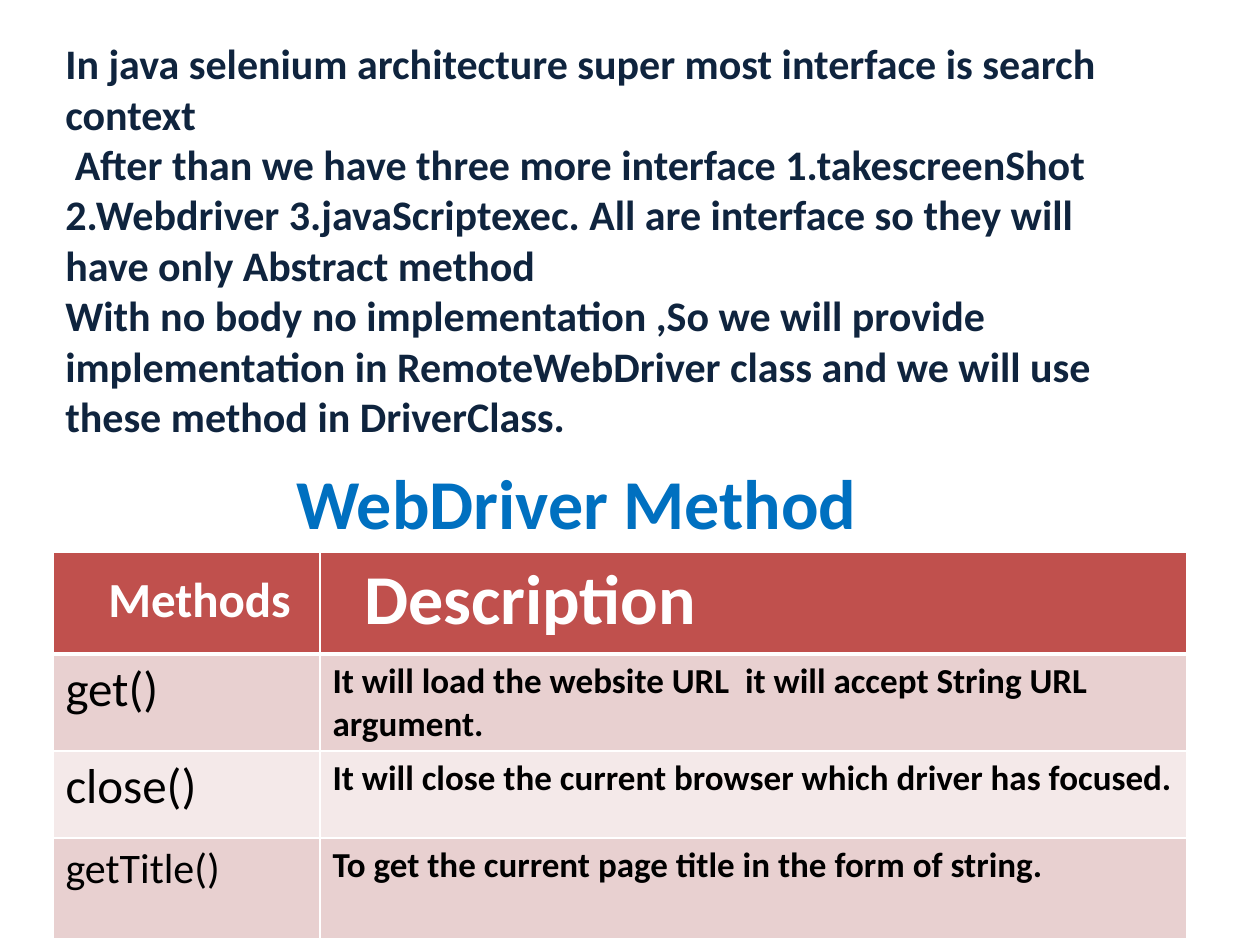
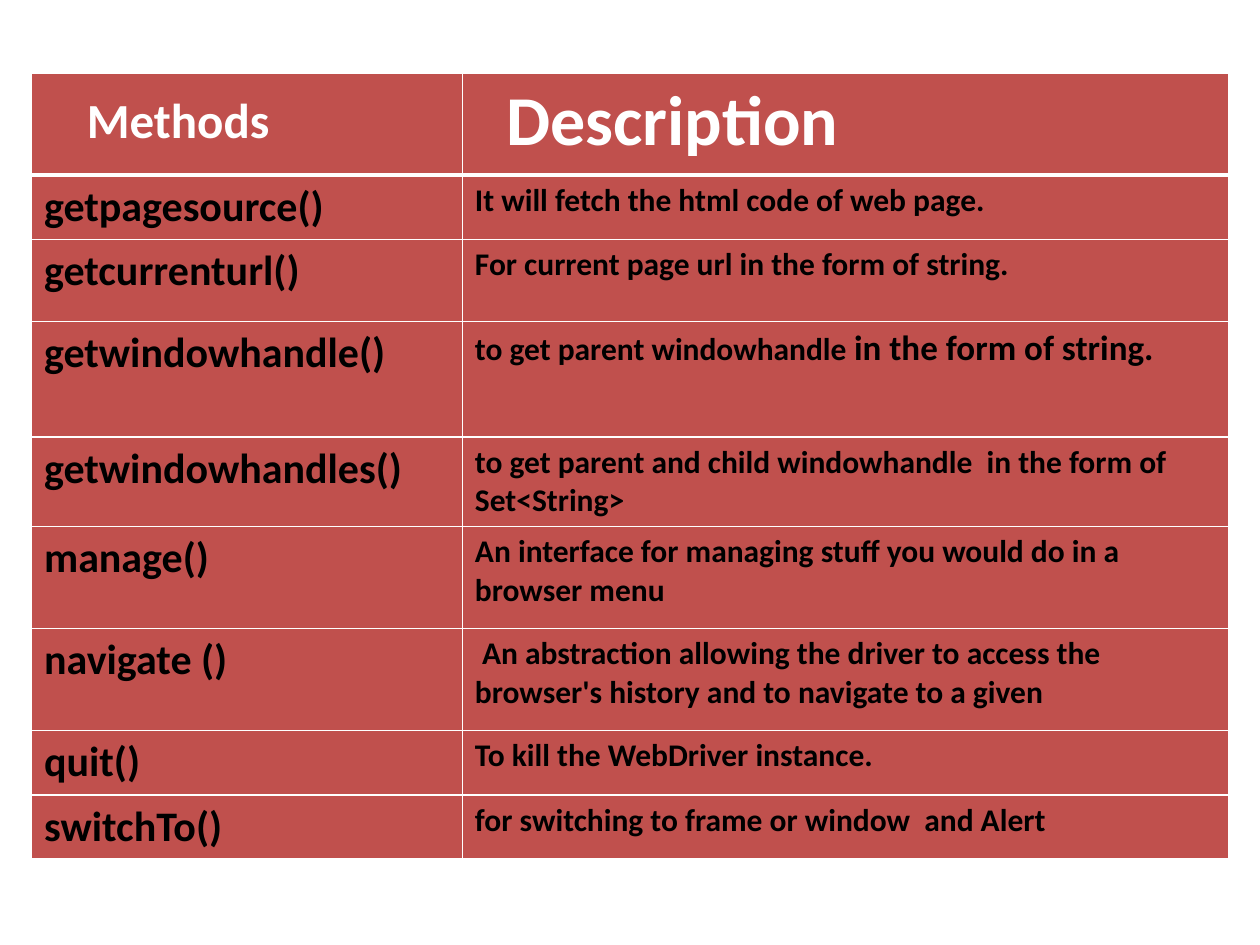
import pptx
import pptx.dml.color
import pptx.enum.text
import pptx.oxml.ns
import pptx.util
from lxml import etree

Inches = pptx.util.Inches
FONT = "Calibri"
COLORS = {
    "navy": "0F243E",
    "blue": "0070C0",
    "red": "C0504D",
    "band_dark": "E8D0D0",
    "band_light": "F4E9E9",
    "white": "FFFFFF",
    "black": "000000",
}
TITLE_ONLY, BLANK = 5, 6

INTRO = [
    "In java selenium architecture super most interface is search context",
    " After than we have three more interface 1.takescreenShot  2.Webdriver "
    "3.javaScriptexec. All are interface so they will have only Abstract method",
    "With no body no implementation ,So we will provide implementation in "
    "RemoteWebDriver class and we will use these method in DriverClass.",
]

# Each row: height, method, method size, description runs as (text, size)
BASIC_METHODS = [
    (0.77, "get()", 28,
     [("It will load the website URL  it will accept String URL argument.", 20)]),
    (0.69, "close()", 28,
     [("It will close the current browser which driver has focused.", 20)]),
    (0.8, "getTitle()", 24,
     [("To get the current page title in the form of string.", 20)]),
]
MORE_METHODS = [
    (0.51, "getpagesource()", 24, [("It will fetch the html code of web page.", 18)]),
    (0.65, "getcurrenturl()", 24, [("For current page url in the form of string.", 18)]),
    (0.92, "getwindowhandle()", 24,
     [("to get parent windowhandle ", 18), ("in the form of string.", 20)]),
    (0.71, "getwindowhandles()", 24,
     [("to get parent and child windowhandle  in the form of Set<String>", 18)]),
    (0.81, "manage()", 24,
     [("An interface for managing stuff you would do in a browser menu", 18)]),
    (0.81, "navigate ()", 24,
     [(" An abstraction allowing the driver to access the browser's history "
       "and to navigate to a given", 18)]),
    (0.51, "quit()", 24, [("To kill the WebDriver instance.", 18)]),
    (0.51, "switchTo()", 24, [("for switching to frame or window  and Alert", 18)]),
]


def rgb(name):
    return pptx.dml.color.RGBColor.from_string(COLORS[name])


def add_run(p, text, size, color, bold=True):
    r = p.add_run()
    r.text = text
    r.font.name = FONT
    r.font.size = pptx.util.Pt(size)
    r.font.bold = bold
    r.font.color.rgb = rgb(color)


def add_paragraphs(s, box, lines, size, color):
    tf = s.shapes.add_textbox(*map(Inches, box)).text_frame
    tf.word_wrap = True
    for i, line in enumerate(lines):
        p = tf.add_paragraph() if i else tf.paragraphs[0]
        add_run(p, line, size, color)


def set_title(s, box, text):
    sp = s.shapes.title
    sp.left, sp.top, sp.width, sp.height = map(Inches, box)
    tf = sp.text_frame
    tf.auto_size = pptx.enum.text.MSO_AUTO_SIZE.NONE
    tf.vertical_anchor = pptx.enum.text.MSO_ANCHOR.TOP
    p = tf.paragraphs[0]
    p.alignment = pptx.enum.text.PP_ALIGN.LEFT
    add_run(p, text, 40, "blue")


def set_borders(cell, **widths):
    """White borders, 1 pt unless a side (L, R, T, B) is given another width."""
    qn = pptx.oxml.ns.qn
    tcPr = cell._tc.get_or_add_tcPr()
    for side in "LRTB":
        width = pptx.util.Pt(widths.get(side, 1))
        ln = etree.SubElement(tcPr, qn("a:ln" + side), w=str(width))
        fill = etree.SubElement(ln, qn("a:solidFill"))
        etree.SubElement(fill, qn("a:srgbClr"), val=COLORS["white"])


def fill_cell(cell, runs, fill, color, bold=True, **borders):
    set_borders(cell, **borders)
    cell.fill.solid()
    cell.fill.fore_color.rgb = rgb(fill)
    for text, size in runs:
        add_run(cell.text_frame.paragraphs[0], text, size, color, bold)


def add_method_table(s, left, top, col_widths, methods, bands, bold_methods):
    heights = [0.81] + [row[0] for row in methods]
    table = s.shapes.add_table(
        len(heights), 2, Inches(left), Inches(top),
        Inches(sum(col_widths)), Inches(sum(heights))).table
    for column, width in zip(table.columns, col_widths):
        column.width = Inches(width)
    for row, height in zip(table.rows, heights):
        row.height = Inches(height)

    # Header row, indented, over a thick rule
    headings = [("Methods", 28, 0.44, 0.15), ("Description", 40, 0.35, 0.05)]
    for col, (text, size, indent, drop) in enumerate(headings):
        cell = table.cell(0, col)
        cell.margin_left, cell.margin_top = Inches(indent), Inches(drop)
        fill_cell(cell, [(text, size)], "red", "white", B=3)

    # Body rows
    for i, (_, method, size, description) in enumerate(methods):
        fill = bands[i % len(bands)]
        rule = 1 if i else 3
        fill_cell(table.cell(i + 1, 0), [(method, size)], fill, "black",
                  bold_methods, T=rule)
        fill_cell(table.cell(i + 1, 1), description, fill, "black", T=rule)


def build_intro_slide(prs):
    s = prs.slides.add_slide(prs.slide_layouts[TITLE_ONLY])
    set_title(s, (2.25, 3.6, 7.75, 0.77), "WebDriver Method")
    add_paragraphs(s, (0.42, 0.25, 8.58, 3.74), INTRO, 24, "navy")
    add_method_table(s, 0.42, 4.38, (2.12, 6.88), BASIC_METHODS,
                     ("band_dark", "band_light"), bold_methods=False)


def build_methods_slide(prs):
    s = prs.slides.add_slide(prs.slide_layouts[BLANK])
    add_method_table(s, 0.25, 0.58, (3.42, 6.08), MORE_METHODS,
                     ("red",), bold_methods=True)


def main():
    prs = pptx.Presentation()
    prs.slide_width, prs.slide_height = Inches(10), Inches(7.5)
    build_intro_slide(prs)
    build_methods_slide(prs)
    prs.save("out.pptx")


if __name__ == "__main__":
    main()
